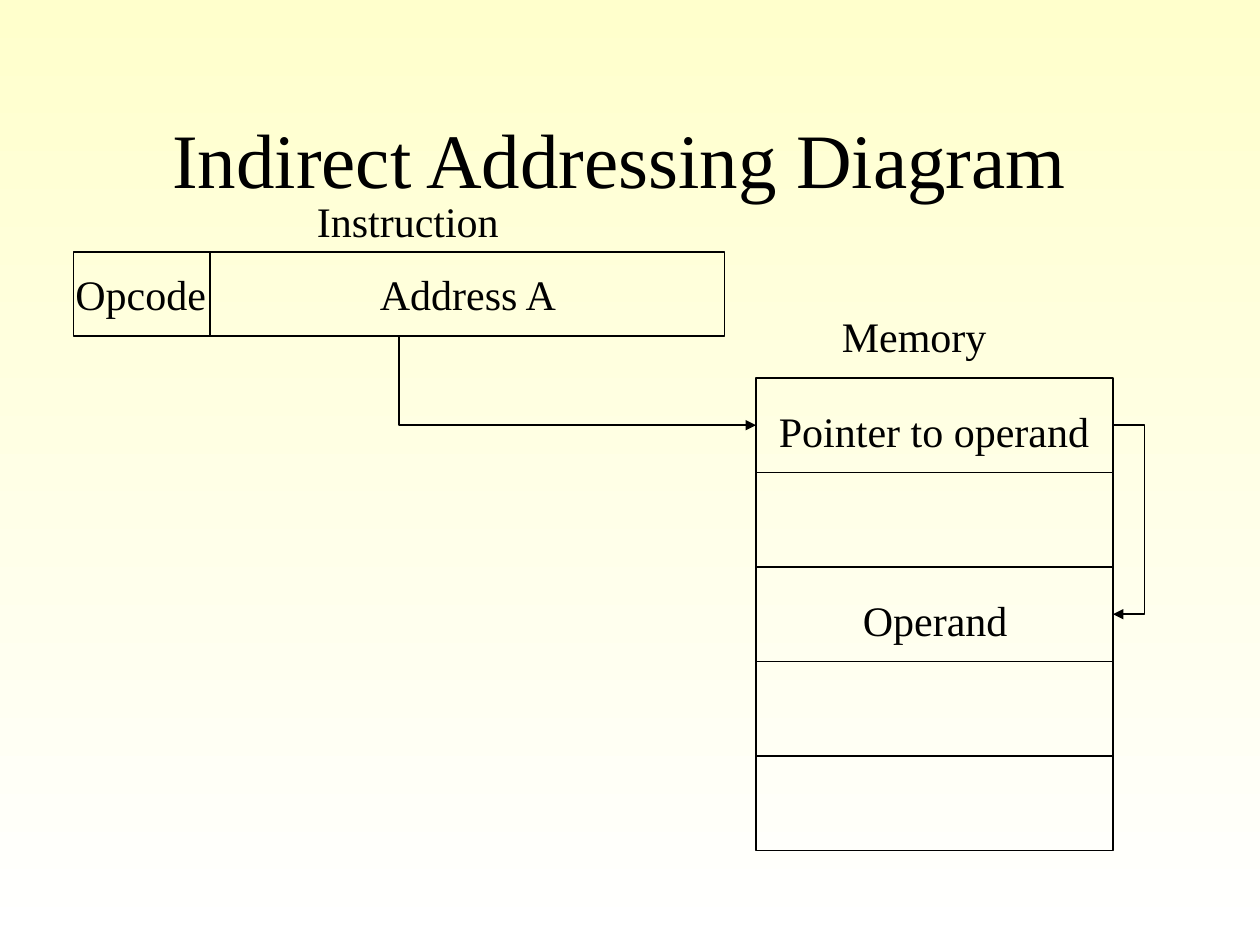
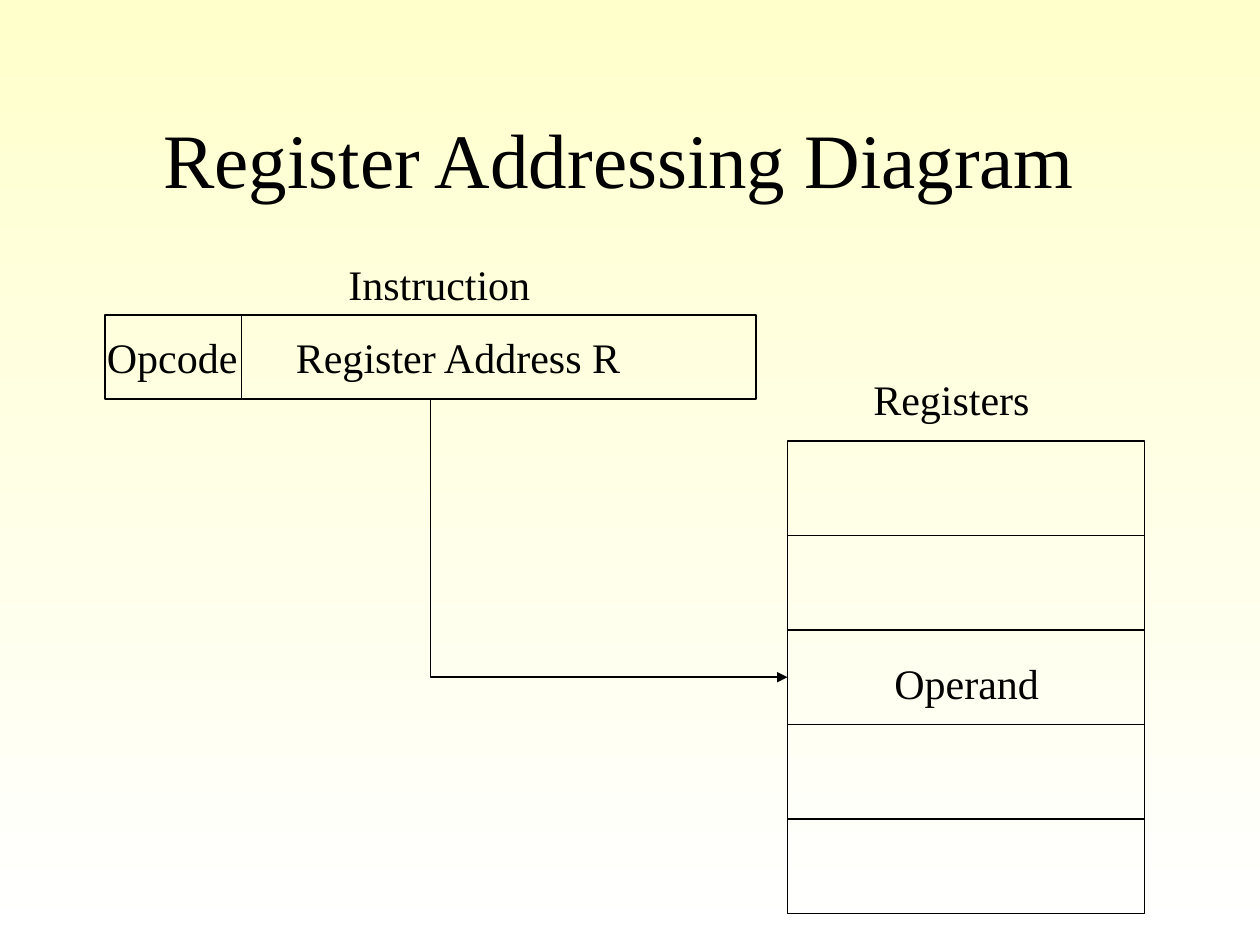
from lxml.etree import SubElement
from pptx import Presentation
from pptx.dml.color import RGBColor
from pptx.enum.shapes import MSO_CONNECTOR as Connector, MSO_SHAPE as Shape
from pptx.enum.text import MSO_ANCHOR as Anchor, MSO_AUTO_SIZE as AutoSize, PP_ALIGN as Align
from pptx.oxml.ns import qn
from pptx.util import Inches, Pt

INK = RGBColor(0x00, 0x00, 0x00)
CREAM = RGBColor(0xFF, 0xFF, 0xCC)
WHITE = RGBColor(0xFF, 0xFF, 0xFF)
FONT = "Times New Roman"
TITLE_SIZE, LABEL_SIZE = Pt(44), Pt(24)
SLIDE_WIDTH, SLIDE_HEIGHT = Inches(10), Inches(7.5)
UNIT = SLIDE_WIDTH / 120

INSTRUCTION_LEFT, INSTRUCTION_TOP = 7, 24
INSTRUCTION_WIDTH, INSTRUCTION_HEIGHT = 62, 8
OPCODE_RIGHT = 20
STORE_LEFT, STORE_TOP = 72, 36
CELL_WIDTH, CELL_HEIGHT, CELL_COUNT = 34, 9, 5
CELL_PADDING = 2
ARROW_START = 38
LOOP_WIDTH = 3
LABEL_HEIGHT = 6


def grid(*steps):
    return [round(step * UNIT) for step in steps]


def cell_top(index):
    return STORE_TOP + index * CELL_HEIGHT


def cell_middle(index):
    return cell_top(index) + CELL_HEIGHT / 2


def style_line(shape):
    shape.line.color.rgb = INK
    shape.line.width = Pt(1)


def add_text(page, text, left, top, width, height, size):
    box = page.shapes.add_textbox(*grid(left, top, width, height))
    frame = box.text_frame
    frame.text = text
    font = frame.paragraphs[0].runs[0].font
    font.name, font.size, font.color.rgb = FONT, size, INK
    return frame


def add_title(page, text):
    frame = add_text(page, text, 14, 6, 90, 14, TITLE_SIZE)
    frame.word_wrap = True
    frame.vertical_anchor = Anchor.BOTTOM
    frame.paragraphs[0].alignment = Align.CENTER


def add_page(deck, title):
    page = deck.slides.add_slide(deck.slide_layouts[6])
    fill = page.background.fill
    fill.gradient()
    fill.gradient_angle = 270
    for stop, color, position in zip(fill.gradient_stops, (CREAM, WHITE), (0, 1)):
        stop.color.rgb = color
        stop.position = position
    add_title(page, title)
    return page


def add_label(page, origin, text, left, top, width):
    column, row = origin
    frame = add_text(page, text, column + left, row + top, width, LABEL_HEIGHT, LABEL_SIZE)
    frame.word_wrap = False
    frame.auto_size = AutoSize.SHAPE_TO_FIT_TEXT


def add_frame(shapes, origin, left, top, width, height):
    column, row = origin
    frame = shapes.add_shape(Shape.RECTANGLE, *grid(column + left, row + top, width, height))
    frame.shadow.inherit = False
    frame.fill.background()
    style_line(frame)


def add_divider(shapes, origin, left, top, bottom):
    column, row = origin
    divider = shapes.add_connector(
        Connector.STRAIGHT, *grid(column + left, row + top, column + left, row + bottom))
    style_line(divider)
    SubElement(divider.element.spPr, qn("a:effectLst"))


def add_arrow(page, origin, *points):
    column, row = origin
    start, *rest = [tuple(grid(column + x, row + y)) for x, y in points]
    builder = page.shapes.build_freeform(*start)
    builder.add_line_segments(rest, close=False)
    arrow = builder.convert_to_shape()
    arrow.shadow.inherit = False
    arrow.fill.background()
    style_line(arrow)
    SubElement(arrow.element.spPr.find(qn("a:ln")), qn("a:tailEnd"), type="triangle")


def add_instruction(page, origin, address, address_left, address_width):
    group = page.shapes.add_group_shape()
    bottom = INSTRUCTION_TOP + INSTRUCTION_HEIGHT
    add_frame(group.shapes, origin, INSTRUCTION_LEFT, INSTRUCTION_TOP,
              INSTRUCTION_WIDTH, INSTRUCTION_HEIGHT)
    add_divider(group.shapes, origin, OPCODE_RIGHT, INSTRUCTION_TOP, bottom)
    add_label(page, origin, address, address_left, INSTRUCTION_TOP + 1, address_width)
    add_label(page, origin, "Opcode", 6, INSTRUCTION_TOP + 1, 14.9)
    add_label(page, origin, "Instruction", 29, INSTRUCTION_TOP - LABEL_HEIGHT, 19.7)


def add_store(page, origin, name, name_width):
    for index in range(CELL_COUNT):
        add_frame(page.shapes, origin, STORE_LEFT, cell_top(index), CELL_WIDTH, CELL_HEIGHT)
    add_label(page, origin, name, 79, STORE_TOP - 7, name_width)
    add_label(page, origin, "Operand", 81, cell_top(2) + CELL_PADDING, 16.2)


def add_address_arrow(page, origin, index):
    middle = cell_middle(index)
    add_arrow(page, origin, (ARROW_START, INSTRUCTION_TOP + INSTRUCTION_HEIGHT),
              (ARROW_START, middle), (STORE_LEFT, middle))


def add_pointer(page, origin, index, target):
    add_label(page, origin, "Pointer to operand", 73, cell_top(index) + CELL_PADDING, 32.5)
    edge = STORE_LEFT + CELL_WIDTH
    loop = edge + LOOP_WIDTH
    add_arrow(page, origin, (edge, cell_middle(index)), (loop, cell_middle(index)),
              (loop, cell_middle(target)), (edge, cell_middle(target)))


def main():
    deck = Presentation()
    deck.slide_width, deck.slide_height = SLIDE_WIDTH, SLIDE_HEIGHT

    origin = (0, 0)
    page = add_page(deck, "Indirect Addressing Diagram")
    add_instruction(page, origin, "Address A", 35, 19.3)
    add_store(page, origin, "Memory", 16.2)
    add_address_arrow(page, origin, 0)
    add_pointer(page, origin, 0, 2)

    origin = (3, 6)
    page = add_page(deck, "Register Addressing Diagram")
    add_instruction(page, origin, "Register Address R", 24, 33.5)
    add_store(page, origin, "Registers", 17.3)
    add_address_arrow(page, origin, 2)

    deck.save("out.pptx")


if __name__ == "__main__":
    main()
